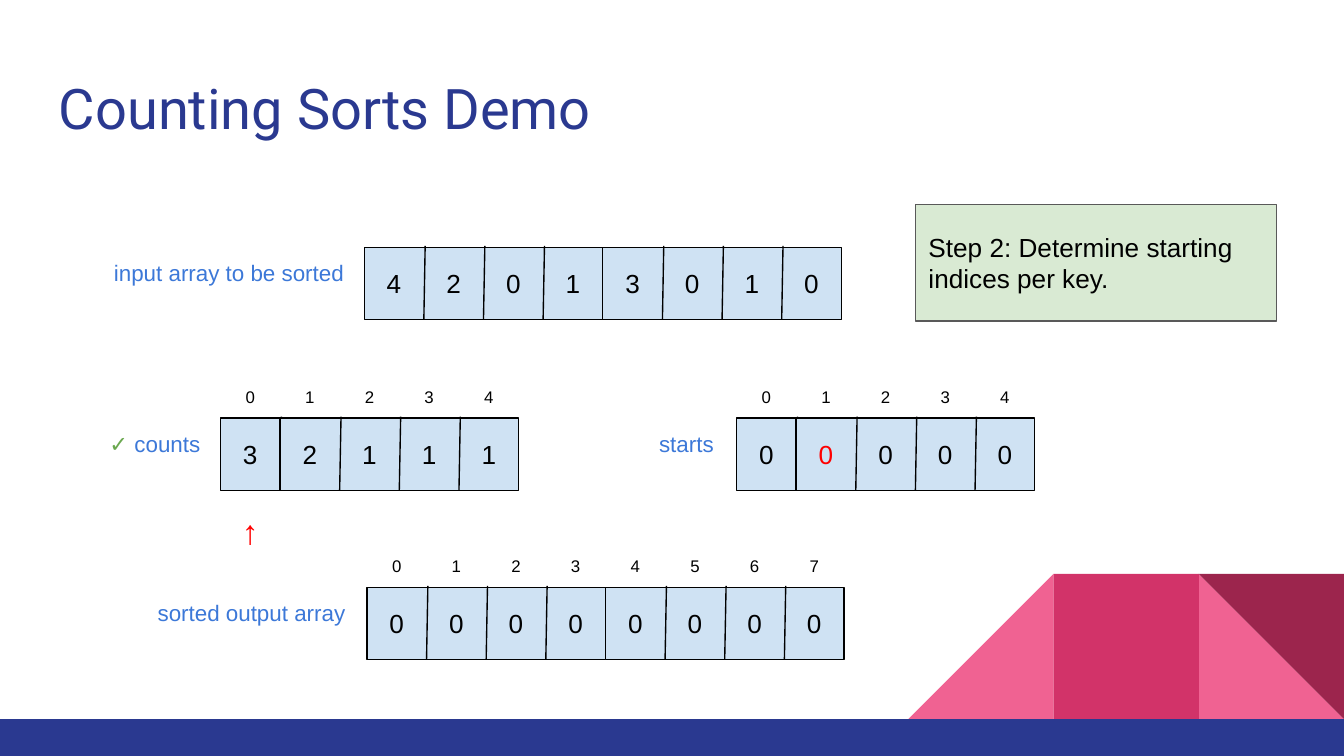
from lxml import etree
from pptx import Presentation
from pptx.dml.color import RGBColor
from pptx.enum.shapes import MSO_CONNECTOR, MSO_SHAPE
from pptx.enum.text import MSO_ANCHOR, PP_ALIGN
from pptx.oxml.ns import qn
from pptx.util import Inches, Pt

RECT, TRIANGLE = MSO_SHAPE.RECTANGLE, MSO_SHAPE.RIGHT_TRIANGLE
STRAIGHT = MSO_CONNECTOR.STRAIGHT
LEFT, CENTER, RIGHT = PP_ALIGN.LEFT, PP_ALIGN.CENTER, PP_ALIGN.RIGHT
TOP, MIDDLE, BOTTOM = MSO_ANCHOR.TOP, MSO_ANCHOR.MIDDLE, MSO_ANCHOR.BOTTOM

COLORS = {
    "navy": "2A3990", "pink": "F06292", "rose": "D23369", "wine": "9C254D",
    "cell": "CFE2F3", "step": "D9EAD3", "gray": "595959", "black": "000000",
    "label": "3C78D8", "check": "6AA84F", "red": "FF0000",
}
CELL_W = 3.55 / 8
CELL_H = 0.55
INDEX_H = 0.36
BLOCK = 4  # cells per background rectangle
DECOR = 1.08  # side of each corner decoration


def rgb(name):
    return RGBColor.from_string(COLORS[name])


def add_box(s, kind, x, y, w, h, fill, line=None):
    sp = s.shapes.add_shape(kind, Inches(x), Inches(y), Inches(w), Inches(h))
    sp.shadow.inherit = False
    sp.fill.solid()
    sp.fill.fore_color.rgb = rgb(fill)
    if line:
        sp.line.color.rgb = rgb(line)
        sp.line.width = Pt(0.75)
    else:
        sp.line.fill.background()
    return sp


def write(sp, runs, size, align=LEFT, anchor=TOP, font="Arial"):
    """Fill a shape with one paragraph of (text, color) runs."""
    tf = sp.text_frame
    tf.word_wrap = True
    tf.vertical_anchor = anchor
    tf.margin_left = tf.margin_right = tf.margin_top = tf.margin_bottom = Inches(0.1)
    p = tf.paragraphs[0]
    p.alignment = align
    for text, color in runs:
        r = p.add_run()
        r.text = text
        r.font.name = font
        r.font.size = Pt(size)
        r.font.color.rgb = rgb(color)


def add_text(s, x, y, w, h, runs, size, **style):
    sp = s.shapes.add_textbox(Inches(x), Inches(y), Inches(w), Inches(h))
    write(sp, runs, size, **style)


def add_divider(s, x, y):
    """Draw the slightly slanted line between two cells."""
    line = s.shapes.add_connector(
        STRAIGHT, Inches(x + 0.01), Inches(y), Inches(x), Inches(y + CELL_H))
    line.line.color.rgb = rgb("black")
    line.line.width = Pt(0.75)
    etree.SubElement(line._element.spPr, qn("a:effectLst"))


def add_array(s, x, y, values, indexed=True, marked=None):
    """Draw a row of cells; marked is the index of the red value."""
    n = len(values)
    second = n - BLOCK
    for first, last in ((0, min(BLOCK - 1, second)), (second, n - 1)):
        add_box(s, RECT, x + first * CELL_W, y + 0.01, BLOCK * CELL_W, 0.54,
                "cell", "black")
        for i in range(first + 1, last + 1):
            add_divider(s, x + i * CELL_W, y)
    for i, value in enumerate(values):
        left = x + i * CELL_W
        color = "red" if i == marked else "black"
        add_text(s, left, y, CELL_W, CELL_H, [(value, color)], 14,
                 align=CENTER, anchor=MIDDLE)
        if indexed:
            add_text(s, left, y - INDEX_H, CELL_W, INDEX_H,
                     [(str(i), "black")], 9, align=CENTER, anchor=BOTTOM)


def add_label(s, x, y, w, runs):
    add_text(s, x, y, w, CELL_H, runs, 12, align=RIGHT)


def add_decoration(s):
    right, y = 10 - DECOR, 5.35 - DECOR
    add_box(s, TRIANGLE, right, y, DECOR, DECOR, "pink")
    mirrored = add_box(s, TRIANGLE, right - 2 * DECOR, y, DECOR, DECOR, "pink")
    mirrored._element.spPr.find(qn("a:xfrm")).set("flipH", "1")
    add_box(s, RECT, right - DECOR, y, DECOR, DECOR, "rose")
    add_box(s, TRIANGLE, right, y, DECOR, DECOR, "wine").rotation = 180
    add_box(s, RECT, 0, 5.35, 10, 0.28, "navy")


def main():
    prs = Presentation()
    prs.slide_width = Inches(10)
    prs.slide_height = Inches(10 * 9 / 16)
    s = prs.slides.add_slide(prs.slide_layouts[6])

    add_decoration(s)
    add_text(s, 0.34, 0.45, 9.32, 0.66, [("Counting Sorts Demo", "navy")], 30,
             font="Roboto")

    add_array(s, 2.71, 1.83, "42013010", indexed=False)
    add_array(s, 1.64, 3.1, "32111")
    add_array(s, 5.48, 3.1, "00000", marked=1)
    add_array(s, 2.73, 4.36, "00000000")

    add_label(s, 0.53, 1.83, 2.13, [("input array to be sorted", "label")])
    add_label(s, 0.53, 3.1, 1.06, [("✓ ", "check"), ("counts", "label")])
    add_label(s, 4.35, 3.1, 1.06, [("starts", "label")])
    add_label(s, 0.8, 4.36, 1.87, [("sorted output array", "label")])

    step = add_box(s, RECT, 6.81, 1.52, 2.69, 0.87, "step", "gray")
    write(step, [("Step 2: Determine starting indices per key.", "black")], 14,
          anchor=MIDDLE)
    add_text(s, 1.64, 3.65, CELL_W, CELL_H, [("↑", "red")], 18,
             align=CENTER, anchor=BOTTOM)

    prs.save("out.pptx")


if __name__ == "__main__":
    main()
